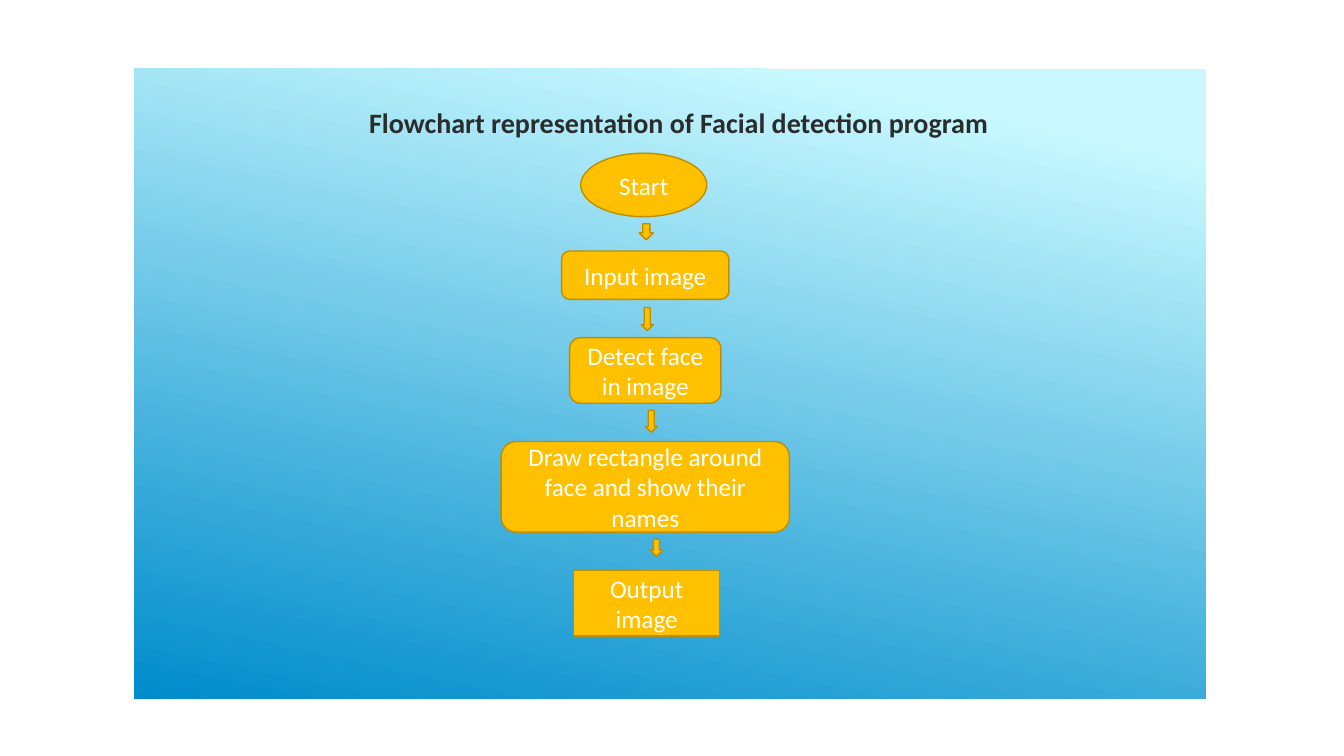
from dataclasses import dataclass

from pptx import Presentation
from pptx import util as u
from pptx.dml.color import RGBColor
from pptx.enum import shapes, text

KIND = shapes.MSO_SHAPE


@dataclass(frozen=True)
class Theme:
    font: str = "Calibri"
    title_size: int = 20
    body_size: int = 18
    line_width: int = 1
    dark: str = "2C2C2C"
    white: str = "FFFFFF"
    gold: str = "FFC000"
    gold_edge: str = "BD8E00"
    sky: str = "C9F9FF"
    ocean: str = "008CCB"


class Flowchart:
    """Draws flowchart elements placed by percentages of the slide, centred on x."""

    def __init__(self, presentation, theme):
        self.width = presentation.slide_width
        self.height = presentation.slide_height
        self.theme = theme
        self.slide = presentation.slides.add_slide(presentation.slide_layouts[5])

    def box(self, center, top, width, height):
        left = center - width / 2
        return [round(share * size / 100) for share, size in (
            (left, self.width), (top, self.height),
            (width, self.width), (height, self.height))]

    def label(self, shape, wording, size, color, bold=False):
        frame = shape.text_frame
        frame.text = wording
        frame.word_wrap = True
        frame.auto_size = text.MSO_AUTO_SIZE.NONE
        frame.vertical_anchor = text.MSO_ANCHOR.MIDDLE
        paragraph = frame.paragraphs[0]
        paragraph.alignment = text.PP_ALIGN.CENTER
        paragraph.line_spacing = 1.0
        font = paragraph.runs[0].font
        formats = {"name": self.theme.font, "size": u.Pt(size), "bold": bold}
        for name, value in formats.items():
            setattr(font, name, value)
        font.color.rgb = RGBColor.from_string(color)

    def title(self, wording, *place):
        shape = self.slide.shapes.title
        for name, value in zip(("left", "top", "width", "height"), self.box(*place)):
            setattr(shape, name, value)
        self.label(shape, wording, self.theme.title_size, self.theme.dark, bold=True)

    def panel(self, *place):
        shape = self.slide.shapes.add_shape(KIND.RECTANGLE, *self.box(*place))
        shape.shadow.inherit = False
        shape.line.fill.background()
        shape.fill.gradient()
        shape.fill.gradient_angle = 258
        colors = ((0.1, self.theme.sky), (1, self.theme.ocean))
        for stop, (position, color) in zip(shape.fill.gradient_stops, colors):
            stop.position = position
            stop.color.rgb = RGBColor.from_string(color)
        self.slide.shapes.title.element.addprevious(shape.element)

    def symbol(self, kind, *place):
        shape = self.slide.shapes.add_shape(kind, *self.box(*place))
        shape.shadow.inherit = False
        shape.fill.solid()
        shape.fill.fore_color.rgb = RGBColor.from_string(self.theme.gold)
        shape.line.color.rgb = RGBColor.from_string(self.theme.gold_edge)
        shape.line.width = u.Pt(self.theme.line_width)
        return shape

    def step(self, wording, kind, *place):
        shape = self.symbol(kind, *place)
        self.label(shape, wording, self.theme.body_size, self.theme.white)

    def arrow(self, *place):
        self.symbol(KIND.DOWN_ARROW, *place)


STEPS = (
    ("Start", KIND.OVAL, 47.9, 20.27, 9.38, 8.4),
    ("Input image", KIND.ROUNDED_RECTANGLE, 48.01, 33.2, 12.45, 6.4),
    ("Detect face in image", KIND.ROUNDED_RECTANGLE, 48.01, 44.67, 11.25, 8.67),
    ("Draw rectangle around face and show their names",
     KIND.ROUNDED_RECTANGLE, 48.01, 58.4, 21.45, 12),
    ("Output image", KIND.RECTANGLE, 48.12, 75.47, 10.88, 8.67),
)
ARROWS = (
    (48.09, 29.6, 1.05, 2.13),
    (48.16, 40.67, 0.9, 3.07),
    (48.46, 54.27, 0.9, 2.93),
    (48.84, 71.33, 0.9, 2.27),
)


def main():
    presentation = Presentation()
    presentation.slide_width = u.Inches(13.33)
    presentation.slide_height = u.Inches(7.5)
    chart = Flowchart(presentation, Theme())
    chart.panel(49.85, 9.07, 79.74, 83.33)
    chart.title("Flowchart representation of Facial detection program",
                50.5, 13.2, 60, 6)
    for step in STEPS:
        chart.step(*step)
    for arrow in ARROWS:
        chart.arrow(*arrow)
    presentation.save("out.pptx")


if __name__ == "__main__":
    main()
